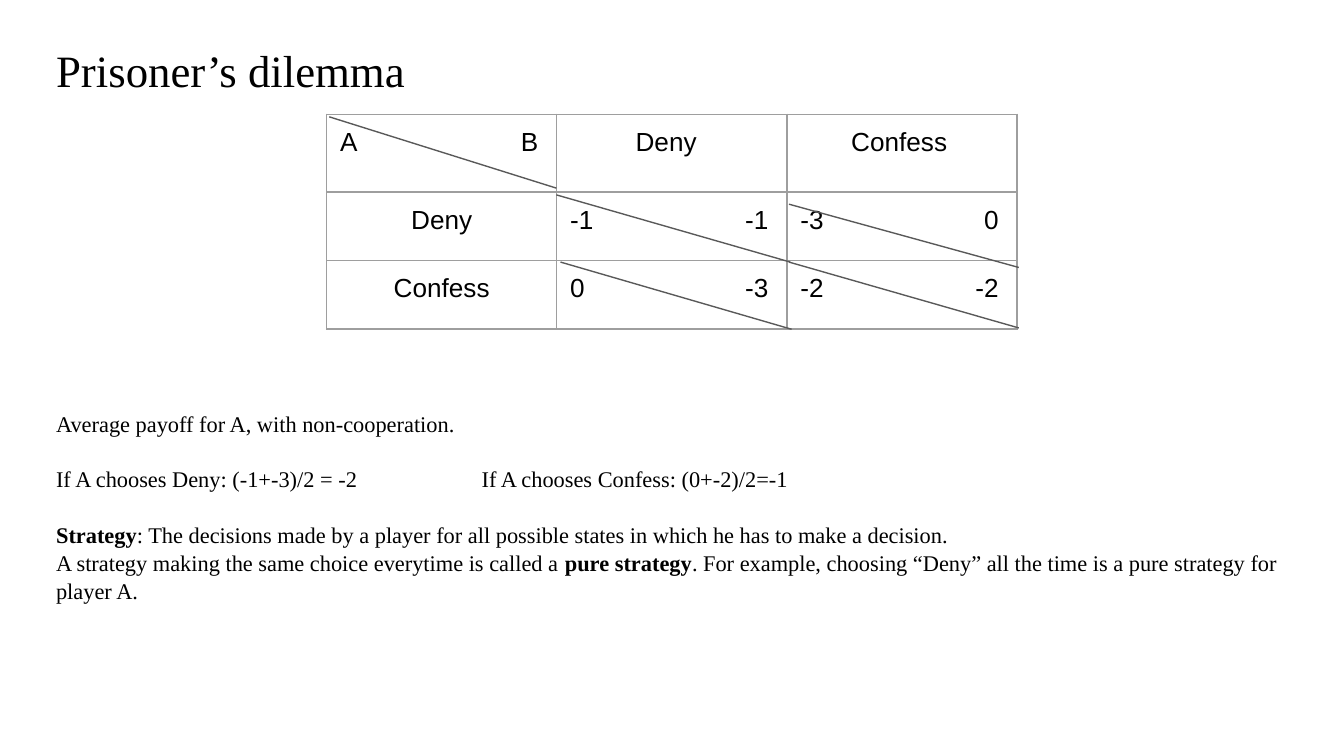
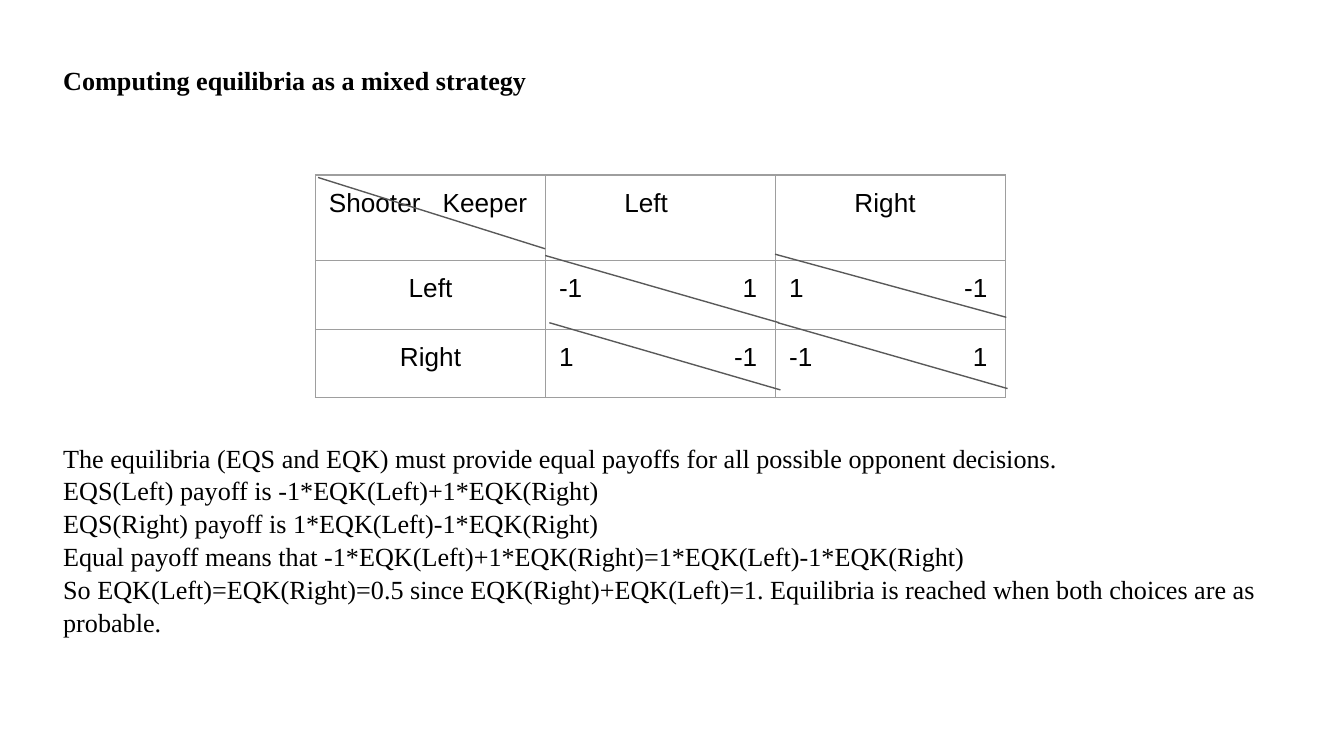
"""Builds two game theory slides: the prisoner's dilemma and a mixed strategy equilibrium."""
from dataclasses import dataclass

from lxml.etree import SubElement
from pptx import Presentation
from pptx.dml.color import RGBColor
from pptx.enum.shapes import MSO_CONNECTOR as Connector
from pptx.enum.text import PP_ALIGN as Align
from pptx.oxml.ns import qn
from pptx.util import Pt


@dataclass(frozen=True)
class Theme:
    ink: str = "000000"
    grid: str = "9E9E9E"
    diagonal: str = "595959"
    prose_font: str = "Times New Roman"
    payoff_font: str = "Arial"
    payoff_size: float = 14
    line_width: float = 0.75
    inset: float = 7.2
    line_spacing: float = 1.05


THEME = Theme()
COLUMN_WIDTH = 123.3
CHOICE_HEIGHT = 36.7
PAYOFF_TAB = 106.2
PROSE_SIZE = (681, 340)

GAMES = [
    {
        "corner": (23, 14.4),
        "title": ("Prisoner’s dilemma", 24, False),
        "size": 12,
        "column_tab": 228,
        "prose": [
            (167.3, [("Average payoff for A, with non-cooperation.", False)]),
            (14.45, [("If A chooses Deny: (-1+-3)/2 = -2\tIf A chooses Confess: (0+-2)/2=-1", False)]),
            (14.45, [("Strategy", True),
                     (": The decisions made by a player for all possible states in which "
                      "he has to make a decision.", False)]),
            (0, [("A strategy making the same choice everytime is called a ", False),
                 ("pure strategy", True),
                 (". For example, choosing “Deny” all the time is a pure strategy for player A.", False)]),
        ],
        "table_at": (175, 61.2),
        "header_height": 41.7,
        "header_indents": (35, 27.2),
        "payoffs": [["A\tB", "Deny", "Confess"],
                    ["Deny", "-1\t-1", "-3\t0"],
                    ["Confess", "0\t-3", "-2\t-2"]],
        "upper_right": (247.7, 48.2, 370.8, 82.1),
    },
    {
        "corner": (26.8, 26.6),
        "title": ("Computing equilibria as a mixed strategy", 14, True),
        "size": 14,
        "column_tab": None,
        "prose": [
            (184.5, [("The equilibria (EQS and EQK) must provide equal payoffs for all possible "
                      "opponent decisions.", False)]),
            (0, [("EQS(Left) payoff is -1*EQK(Left)+1*EQK(Right)", False)]),
            (0, [("EQS(Right) payoff is 1*EQK(Left)-1*EQK(Right)", False)]),
            (0, [("Equal payoff means that -1*EQK(Left)+1*EQK(Right)=1*EQK(Left)-1*EQK(Right)", False)]),
            (0, [("So EQK(Left)=EQK(Right)=0.5 since EQK(Right)+EQK(Left)=1. Equilibria is reached "
                  "when both choices are as probable.", False)]),
        ],
        "table_at": (169, 93.7),
        "header_height": 46,
        "header_indents": (35, 35),
        "payoffs": [["Shooter\tKeeper", "Left", "Right"],
                    ["Left", "-1\t1", "1\t-1"],
                    ["Right", "1\t-1", "-1\t1"]],
        "upper_right": (246.2, 42.5, 370.1, 76.3),
    },
]
SHARED_DIAGONALS = [
    (1.4, 1.4, 123.1, 39.6),
    (123.1, 43.2, 248.4, 79.2),
    (247.7, 79.2, 370.8, 114.5),
    (125.3, 79.2, 249.1, 115.2),
]


def add_runs(paragraph, runs, font, size):
    for text, bold in runs:
        run = paragraph.add_run()
        run.text = text
        run.font.name = font
        run.font.size = Pt(size)
        run.font.bold = bold
        run.font.color.rgb = RGBColor.from_string(THEME.ink)


def add_tab(paragraph, position, side):
    stops = SubElement(paragraph._p.get_or_add_pPr(), qn("a:tabLst"))
    SubElement(stops, qn("a:tab"), pos=str(Pt(position)), algn=side)


prs = Presentation()
prs.slide_width, prs.slide_height = Pt(720), Pt(405)

for game in GAMES:
    slide = prs.slides.add_slide(prs.slide_layouts[6])

    prose = slide.shapes.add_textbox(*map(Pt, game["corner"] + PROSE_SIZE)).text_frame
    prose.word_wrap = True
    prose.margin_left = prose.margin_right = Pt(THEME.inset)
    prose.margin_top = prose.margin_bottom = Pt(THEME.inset)
    title, title_size, title_bold = game["title"]
    heading = prose.paragraphs[0]
    heading.line_spacing = THEME.line_spacing
    add_runs(heading, [(title, title_bold)], THEME.prose_font, title_size)
    for gap, runs in game["prose"]:
        statement = prose.add_paragraph()
        statement.line_spacing = THEME.line_spacing
        statement.space_before = Pt(gap)
        if "\t" in runs[0][0]:
            add_tab(statement, game["column_tab"], "l")
        add_runs(statement, runs, THEME.prose_font, game["size"])

    left, top = game["table_at"]
    heights = [game["header_height"], CHOICE_HEIGHT, CHOICE_HEIGHT]
    matrix = slide.shapes.add_table(
        3, 3, Pt(left), Pt(top), Pt(3 * COLUMN_WIDTH), Pt(sum(heights))).table
    matrix.first_row = matrix.horz_banding = False
    for column in matrix.columns:
        column.width = Pt(COLUMN_WIDTH)
    for r, row in enumerate(game["payoffs"]):
        matrix.rows[r].height = Pt(heights[r])
        for c, text in enumerate(row):
            cell = matrix.cell(r, c)
            cell.margin_left = cell.margin_right = Pt(THEME.inset)
            cell.margin_top = cell.margin_bottom = Pt(THEME.inset)
            for edge in ("a:lnL", "a:lnR", "a:lnT", "a:lnB"):
                border = SubElement(cell._tc.get_or_add_tcPr(), qn(edge), w=str(Pt(THEME.line_width)))
                SubElement(SubElement(border, qn("a:solidFill")), qn("a:srgbClr"), val=THEME.grid)
            cell.fill.background()
            entry = cell.text_frame.paragraphs[0]
            if "\t" in text:
                add_tab(entry, PAYOFF_TAB, "r")
            elif r == 0:
                indent = game["header_indents"][c - 1]
                entry._p.get_or_add_pPr().set("marL", str(Pt(indent)))
            else:
                entry.alignment = Align.CENTER
            add_runs(entry, [(text, False)], THEME.payoff_font, THEME.payoff_size)

    for x1, y1, x2, y2 in SHARED_DIAGONALS + [game["upper_right"]]:
        diagonal = slide.shapes.add_connector(
            Connector.STRAIGHT, Pt(left + x1), Pt(top + y1), Pt(left + x2), Pt(top + y2))
        diagonal.line.color.rgb = RGBColor.from_string(THEME.diagonal)
        diagonal.line.width = Pt(THEME.line_width)
        SubElement(diagonal._element.spPr, qn("a:effectLst"))

prs.save("out.pptx")
